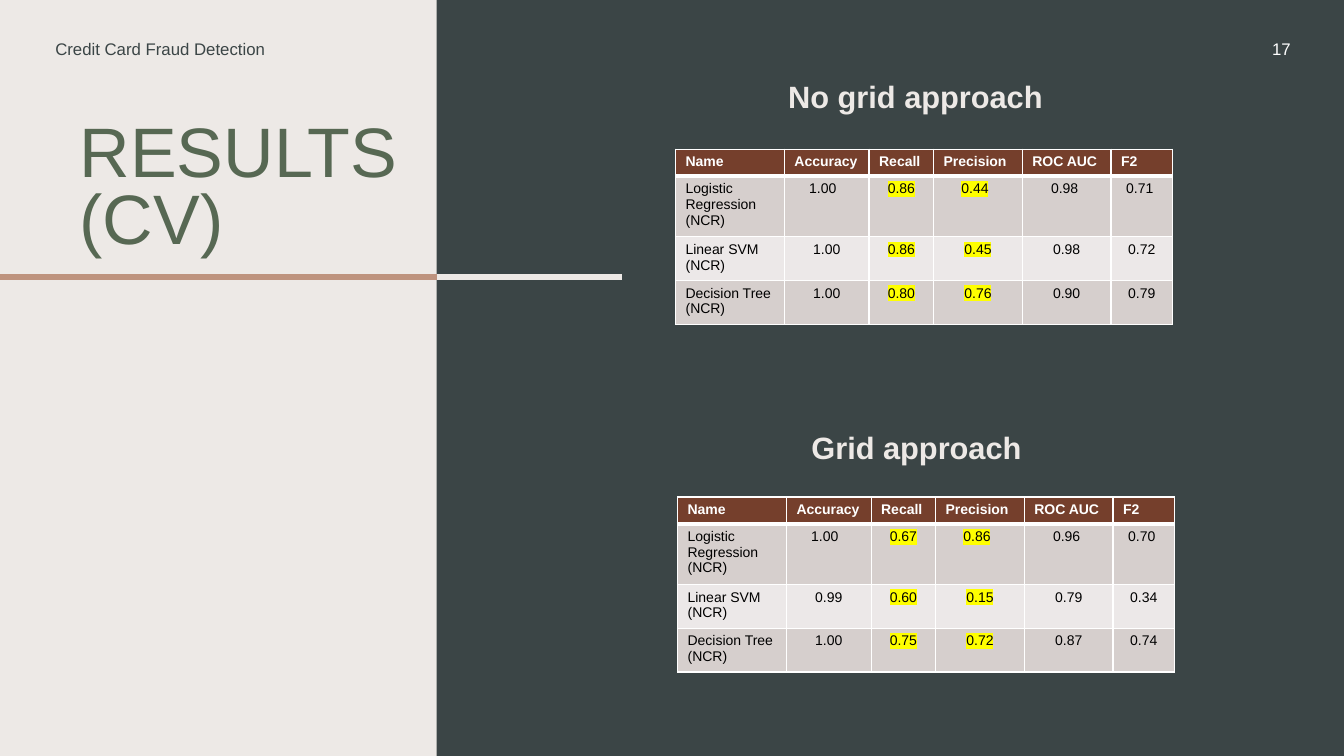
from typing import NamedTuple

from lxml.etree import SubElement
from pptx import Presentation
from pptx.dml.color import RGBColor
from pptx.enum.shapes import MSO_CONNECTOR as Conn, MSO_SHAPE as Shape
from pptx.enum.text import MSO_ANCHOR as Anchor, PP_ALIGN as Align
from pptx.oxml import parse_xml
from pptx.oxml.ns import nsdecls, qn
from pptx.util import Inches, Pt

FONT = "Arial"
PALE, DARK, GREEN, CLAY = "EDE9E6", "3B4546", "576853", "BE937E"
WHITE, BLACK, BROWN, YELLOW = "FFFFFF", "000000", "753F2C", "FFFF00"
BANDS = ("D6CFCD", "ECE8E8")

HEADS = ("Name", "Accuracy", "Recall", "Precision", "ROC AUC", "F2")
MODELS = ("Logistic Regression (NCR)", "Linear SVM\n(NCR)", "Decision Tree\n(NCR)")
MARKED = ("Recall", "Precision")
COLS = (1.08, 0.84, 0.64, 0.88, 0.88, 0.61)
ROWS = (0.25, 0.55, 0.39, 0.38)
# Extra right margin in the first data row
PADS = (0, 0.08, 0, 0.06, 0.04, 0.04)


class Box(NamedTuple):
    left: float
    top: float
    width: float
    height: float


class Rule(NamedTuple):
    start: float
    end: float
    color: str


class Panel(NamedTuple):
    title: str
    head: Box
    left: float
    top: float
    scores: tuple[str, ...]


RULES = (Rule(-0.03, 4.33, CLAY), Rule(4.33, 6.17, PALE))
PANELS = (
    Panel("No grid approach", Box(7.08, 0.71, 4, 0.48), 6.7, 1.48,
          ("1.00 0.86 0.44 0.98 0.71",
           "1.00 0.86 0.45 0.98 0.72",
           "1.00 0.80 0.76 0.90 0.79")),
    Panel("Grid approach", Box(7.09, 4.2, 4, 0.48), 6.72, 4.93,
          ("1.00 0.67 0.86 0.96 0.70",
           "0.99 0.60 0.15 0.79 0.34",
           "1.00 0.75 0.72 0.87 0.74")),
)


def paint(fill, color: str) -> None:
    fill.solid()
    fill.fore_color.rgb = RGBColor.from_string(color)


def place(shape, box: Box) -> None:
    shape.left, shape.top, shape.width, shape.height = map(Inches, box)


def write(frame, text: str, size: float, color: str, bold: bool = False,
          align=Align.LEFT, mark: bool = False) -> None:
    """Fill a text frame, one paragraph for each line."""
    frame.word_wrap = True
    for i, line in enumerate(text.split("\n")):
        para = frame.add_paragraph() if i else frame.paragraphs[0]
        para.alignment = align
        para.space_before = Pt(0)
        run = para.add_run()
        run.text = line
        font = run.font
        font.name, font.size, font.bold = FONT, Pt(size), bold
        paint(font.fill, color)
        if mark:
            solid = run._r.rPr.find(qn("a:solidFill"))
            solid.addnext(parse_xml(
                f'<a:highlight {nsdecls("a")}><a:srgbClr val="{YELLOW}"/></a:highlight>'))


def edge(cell, base: float, top: float) -> None:
    """Draw white borders, placed ahead of the cell fill."""
    props = cell._tc.get_or_add_tcPr()
    widths = {"lnL": 1, "lnR": 1, "lnT": top, "lnB": base}
    for i, (tag, width) in enumerate(widths.items()):
        line = SubElement(props, qn(f"a:{tag}"), w=str(Pt(width)))
        solid = SubElement(line, qn("a:solidFill"))
        SubElement(solid, qn("a:srgbClr"), val=WHITE)
        props.insert(i, line)


def add_rule(slide, rule: Rule) -> None:
    y = Inches(2.75)
    line = slide.shapes.add_connector(
        Conn.STRAIGHT, Inches(rule.start), y, Inches(rule.end), y)
    paint(line.line.fill, rule.color)
    line.line.width = Pt(4.5)
    SubElement(line._element.spPr, qn("a:effectLst"))


def add_label(slide, text: str, box: Box, color: str, align) -> None:
    label = slide.shapes.add_textbox(*map(Inches, box))
    label.text_frame.vertical_anchor = Anchor.MIDDLE
    write(label.text_frame, text, 12, color, align=align)


def add_scores(slide, panel: Panel) -> None:
    grid = [HEADS] + [(name, *row.split()) for name, row in zip(MODELS, panel.scores)]
    table = slide.shapes.add_table(
        len(ROWS), len(COLS), Inches(panel.left), Inches(panel.top),
        Inches(sum(COLS)), Inches(sum(ROWS))).table
    table.horz_banding = False
    for col, width in zip(table.columns, COLS):
        col.width = Inches(width)
    for row, height in zip(table.rows, ROWS):
        row.height = Inches(height)
    for r, line in enumerate(grid):
        for c, text in enumerate(line):
            cell, head = table.cell(r, c), r == 0
            paint(cell.fill, BROWN if head else BANDS[(r - 1) % 2])
            edge(cell, 3 if head else 1, 3 if r == 1 else 1)
            if r == 1:
                cell.margin_right = Inches(0.1 + PADS[c])
            write(cell.text_frame, text, 10, WHITE if head else BLACK, head,
                  Align.LEFT if head or c == 0 else Align.CENTER,
                  not head and HEADS[c] in MARKED)


def main() -> None:
    deck = Presentation()
    deck.slide_width, deck.slide_height = Inches(13.33), Inches(7.5)
    slide = deck.slides.add_slide(deck.slide_layouts[4])
    paint(slide.background.fill, PALE)
    holders = {p.placeholder_format.idx: p for p in slide.placeholders}
    for idx in (2, 4):
        holders[idx]._element.getparent().remove(holders[idx]._element)

    # Dark side, kept behind the placeholders
    side = slide.shapes.add_shape(Shape.RECTANGLE, *map(Inches, (4.33, 0, 9.05, 7.5)))
    side.shadow.inherit = False
    paint(side.fill, DARK)
    side.line.fill.background()
    slide.shapes._spTree.insert(2, side._element)
    for rule in RULES:
        add_rule(slide, rule)

    # Title
    title = slide.shapes.title
    place(title, Box(0.69, 1.18, 3.43, 1.84))
    frame = title.text_frame
    frame.vertical_anchor = Anchor.TOP
    write(frame, "RESULTS\n(CV)", 50, GREEN)
    for para in frame.paragraphs:
        para.line_spacing = 0.8

    # Page header
    add_label(slide, "17", Box(11.07, 0.33, 1.83, 0.3), WHITE, Align.RIGHT)
    add_label(slide, "Credit Card Fraud Detection", Box(0.45, 0.33, 2.37, 0.3),
              DARK, Align.LEFT)

    # Headings and score tables
    for panel, idx in zip(PANELS, (1, 3)):
        head = holders[idx]
        place(head, panel.head)
        head.text_frame.vertical_anchor = Anchor.MIDDLE
        write(head.text_frame, panel.title, 22, PALE, True, Align.CENTER)
        add_scores(slide, panel)

    deck.save("out.pptx")


if __name__ == "__main__":
    main()
